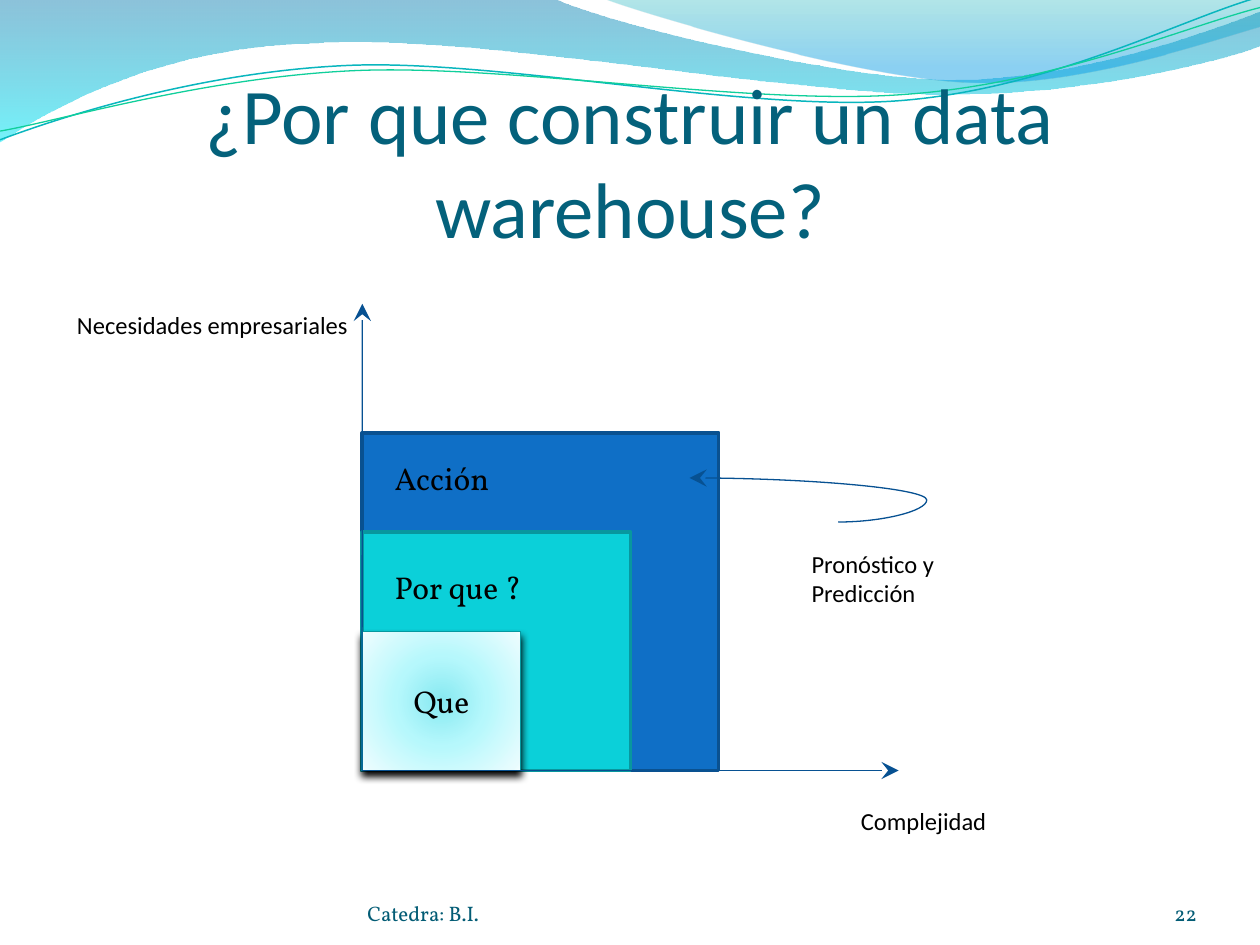
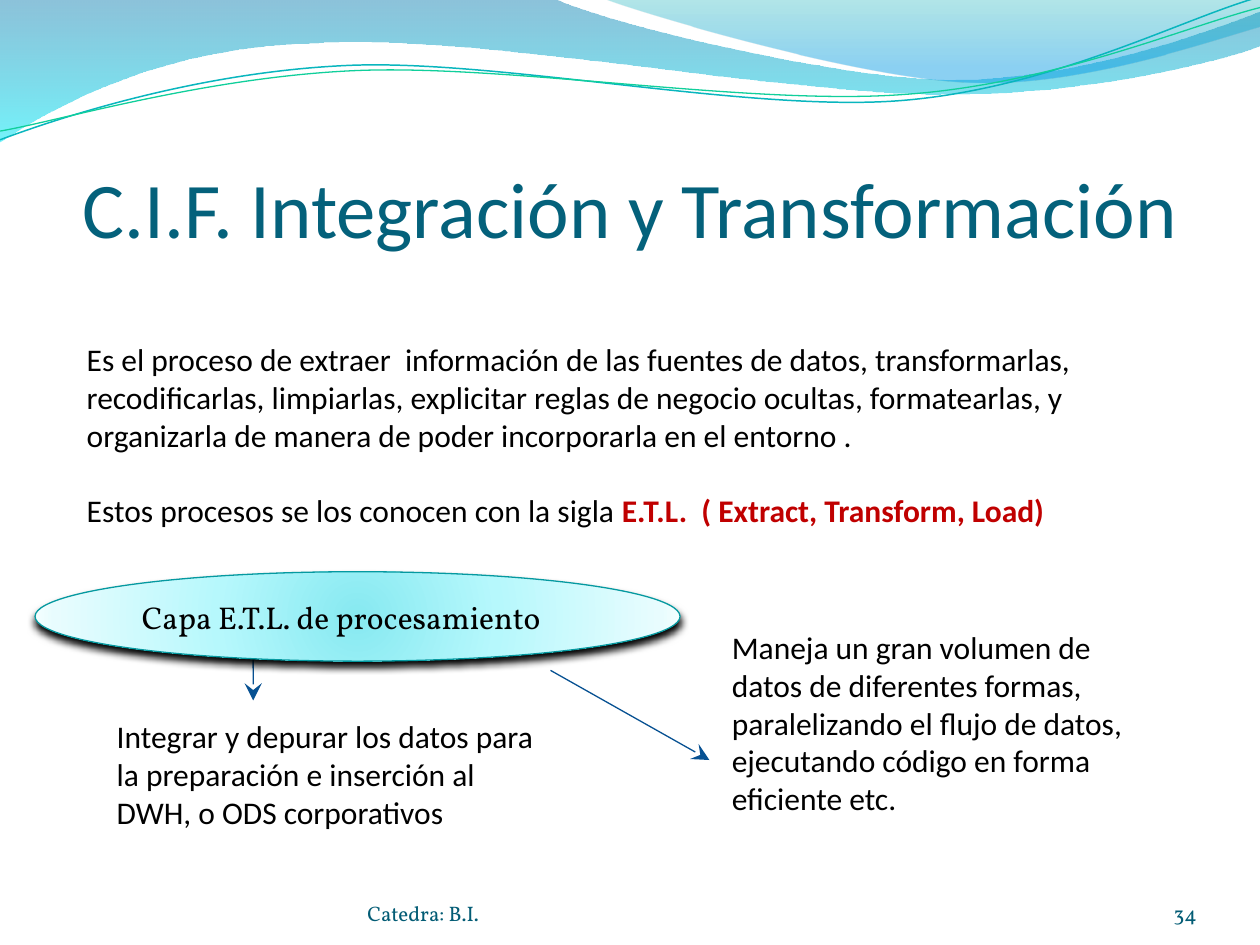
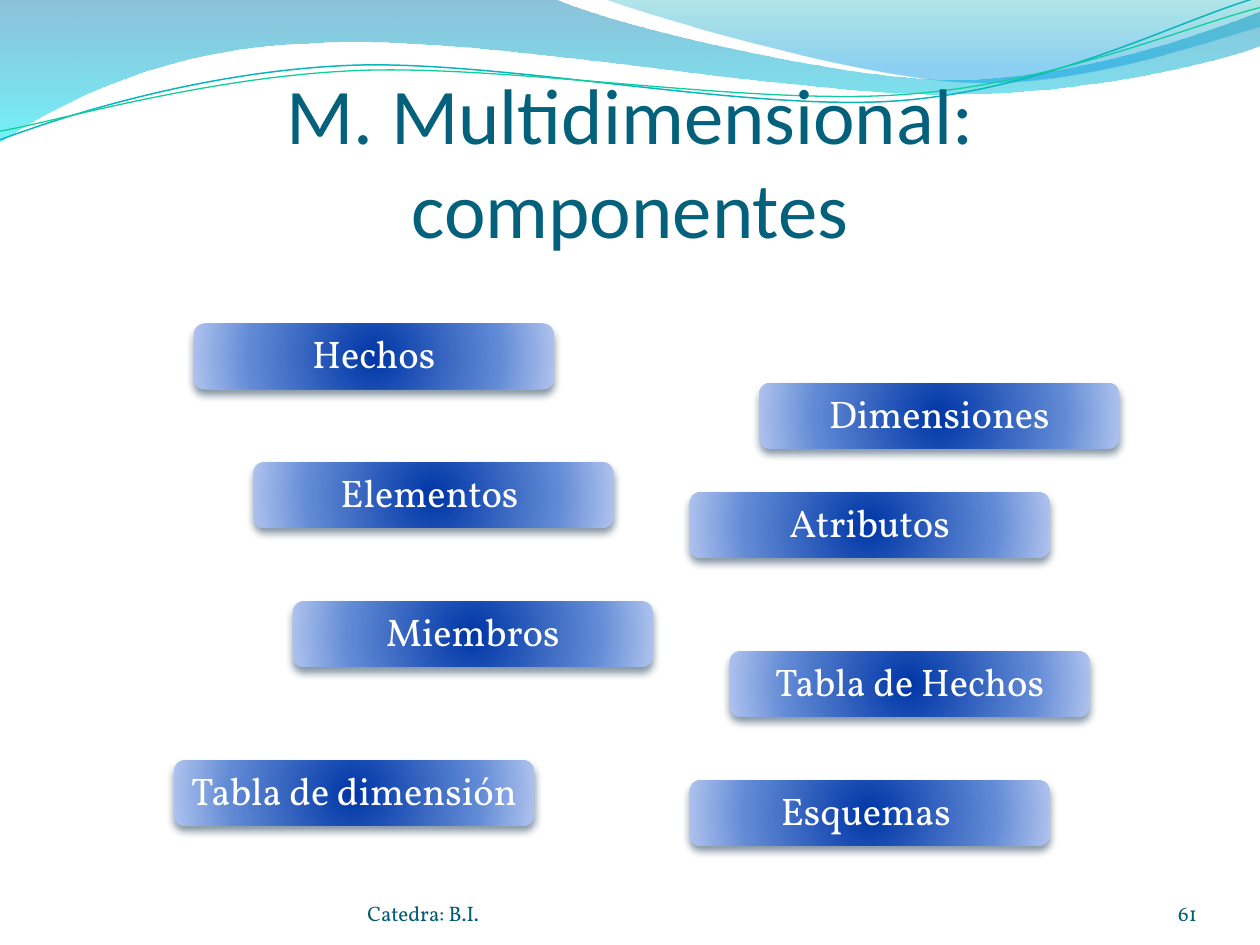
from collections import namedtuple
from dataclasses import dataclass

from lxml.etree import Element, SubElement
from pptx import Presentation
from pptx.dml.color import RGBColor as RGB
from pptx.enum.shapes import MSO_CONNECTOR as LINE, MSO_SHAPE as SHAPE
from pptx.enum.text import MSO_ANCHOR as ANCHOR, MSO_AUTO_SIZE as AUTO, PP_ALIGN as ALIGN
from pptx.oxml.ns import qn
from pptx.util import Pt

Box = namedtuple("Box", "x y w h")
Gradient = namedtuple("Gradient", "stops angle")  # stops: (position, colour, opacity)


@dataclass(frozen=True)
class Theme:
    head: str = "Calibri"
    body: str = "Vollkorn"
    title_size: float = 45
    button_size: float = 22
    text_size: float = 18
    label_size: float = 14
    footer_size: float = 12
    title: str = "04617B"
    footer: str = "035C75"
    text: str = "000000"
    white: str = "FFFFFF"
    accent: str = "C00000"
    arrow: str = "075192"
    pale_line: str = "0599A0"
    pale: Gradient = Gradient(
        [(0, "87E9F1", 100), (43, "B6F8FC", 100), (93, "E8FCFE", 100), (100, "F6FFFF", 100)], None)
    button: Gradient = Gradient(
        [(0, "0036A6", 100), (68, "618AD5", 100), (100, "AFC3EE", 100)], None)
    wave_left: Gradient = Gradient([(0, "0079AD", 45), (100, "00E9F7", 55)], 90)
    wave_right: Gradient = Gradient(
        [(0, "00ABB4", 30), (80, "0099E4", 45), (100, "0099E4", 45)], 90)
    pale_shadow: tuple = ("000000", 100)
    button_shadow: tuple = ("022442", 48)


T = Theme()

# Each outline is a start point, then lines (x, y) and curves (x1, y1, x2, y2, x, y).
WAVES = [
    ([(0, 0), (316.8, -0.7), (342.7, 12.2, 478.1, 45.4, 545.8, 45.4),
      (614.2, 45.4, 689.8, 18.7, 720, 6.5), (720.7, 25.9),
      (707.8, 31.7, 626.4, 54.7, 537.1, 54), (447.8, 54, 275, 20.2, 185, 24.5),
      (92.9, 25.9, 33.1, 59.8, -0.7, 81.4)], T.wave_left, None),
    ([(344.9, -0.7), (366.5, 7.9, 491, 44.6, 553.7, 46.8),
      (616.3, 49.7, 691.9, 23, 720, 15.1), (720, 0)], T.wave_right, None),
    ([(0, 79.9), (34.6, 67, 113.8, 41, 199.4, 37.4),
      (284.4, 33.8, 427, 64.1, 513.4, 57.6), (599.8, 51.1, 675.4, 10.8, 718.6, -1.4)],
     None, ("09B6BE", 0.85)),
    ([(0, 74.9), (33.8, 69.1, 118.1, 43.9, 203.8, 40.3),
      (290.2, 36.7, 429.8, 60.5, 516.2, 54), (601.9, 48.2, 677.5, 15.1, 720, 4.3)],
     None, ("10CF9B", 0.75)),
]


def add_color(parent, color, opacity):
    c = SubElement(parent, qn("a:srgbClr"), val=color)
    if opacity < 100:
        SubElement(c, qn("a:alpha"), val=str(opacity * 1000))


def fill_gradient(s, gradient):
    """Linear when the gradient has an angle, otherwise circular from the centre."""
    sp_pr = s.element.spPr
    fill = SubElement(sp_pr, qn("a:gradFill"), rotWithShape="1")
    stops = SubElement(fill, qn("a:gsLst"))
    for position, color, opacity in gradient.stops:
        add_color(SubElement(stops, qn("a:gs"), pos=str(position * 1000)), color, opacity)
    if gradient.angle is not None:
        SubElement(fill, qn("a:lin"), ang=str(gradient.angle * 60000), scaled="1")
    else:
        path = SubElement(fill, qn("a:path"), path="circle")
        SubElement(path, qn("a:fillToRect"), **dict.fromkeys("ltrb", "50000"))
    sp_pr.replace(sp_pr.find(qn("a:noFill")), fill)


def paint(s, fill=None, line=None, shadow=None):
    s.shadow.inherit = False
    s.fill.background()
    if isinstance(fill, Gradient):
        fill_gradient(s, fill)
    elif fill:
        s.fill.solid()
        s.fill.fore_color.rgb = RGB.from_string(fill)
    if line:
        s.line.color.rgb = RGB.from_string(line[0])
        s.line.width = Pt(line[1])
    else:
        s.line.fill.background()
    if shadow:
        effects = s.element.spPr.find(qn("a:effectLst"))
        outer = SubElement(effects, qn("a:outerShdw"), blurRad=str(Pt(4.5)), dist=str(Pt(3)),
                           dir="5400000", rotWithShape="0")
        add_color(outer, *shadow)


def write(tf, text, size, font=T.body, color=T.text, align=ALIGN.LEFT,
          anchor=ANCHOR.TOP, insets=(7.2, 3.6, 7.2, 3.6), gap=0, spacing=None):
    """Text is a string, or a list of paragraphs that are lists of (words, run format)."""
    left, top, right, bottom = map(Pt, insets)
    frame = {"word_wrap": True, "auto_size": AUTO.NONE, "vertical_anchor": anchor,
             "margin_left": left, "margin_top": top, "margin_right": right,
             "margin_bottom": bottom}
    for name, value in frame.items():
        setattr(tf, name, value)
    paragraphs = [[(text, {})]] if isinstance(text, str) else text
    for i, runs in enumerate(paragraphs):
        p = tf.add_paragraph() if i else tf.paragraphs[0]
        p.alignment = align
        p.line_spacing = spacing
        p.space_before = Pt(gap if i else 0)
        for words, extra in runs:
            r = p.add_run()
            r.text = words
            look = {"name": font, "size": Pt(size), "bold": False, "color": color, **extra}
            r.font.color.rgb = RGB.from_string(look.pop("color"))
            for name, value in look.items():
                setattr(r.font, name, value)


def add_text(slide, box, text, size, **fmt):
    write(slide.shapes.add_textbox(*map(Pt, box)).text_frame, text, size, **fmt)


def add_shape(slide, kind, box, **look):
    s = slide.shapes.add_shape(kind, *map(Pt, box))
    paint(s, **look)
    return s


def add_arrow(slide, start, end, kind=LINE.STRAIGHT):
    s = slide.shapes.add_connector(kind, *map(Pt, (*start, *end)))
    s.line.color.rgb = RGB.from_string(T.arrow)
    s.line.width = Pt(0.75)
    ln = s.element.spPr.find(qn("a:ln"))
    SubElement(ln, qn("a:tailEnd"), type="stealth", w="lg", len="lg")
    SubElement(s.element.spPr, qn("a:effectLst"))
    return s


def add_outline(slide, outline, closed):
    """A freeform through the segment ends, whose curved segments become cubic curves."""
    ends = [tuple(map(Pt, segment[-2:])) for segment in outline]
    builder = slide.shapes.build_freeform(*ends[0])
    builder.add_line_segments(ends[1:], close=closed)
    s = builder.convert_to_shape()
    for segment, line in zip(outline[1:], list(s.element.iter(qn("a:lnTo")))):
        if len(segment) == 6:
            curve = Element(qn("a:cubicBezTo"))
            for x, y in zip(segment[::2], segment[1::2]):
                SubElement(curve, qn("a:pt"), x=str(Pt(x) - s.left), y=str(Pt(y) - s.top))
            line.getparent().replace(line, curve)
    return s


def add_waves(layout, slide):
    """Draw the waves on a slide and move them behind the layout's placeholders."""
    for i, (outline, fill, line) in enumerate(WAVES):
        s = add_outline(slide, outline, closed=fill is not None)
        paint(s, fill, line)
        layout.shapes.element.insert(2 + i, s.element)


def add_frame(slide, title, number):
    """Title, footer and slide number."""
    s = slide.shapes.title
    s.left, s.top, s.width, s.height = map(Pt, (36, 55.4, 648, 90))
    write(s.text_frame, title, T.title_size, font=T.head, color=T.title,
          align=ALIGN.CENTER, anchor=ANCHOR.BOTTOM, insets=(0, 3.6, 0, 0))
    for x, w, text, align in ((210, 264, "Catedra: B.I.", ALIGN.LEFT),
                              (624, 60, number, ALIGN.RIGHT)):
        add_text(slide, (x, 500.4, w, 28.8), text, T.footer_size, color=T.footer,
                 align=align, anchor=ANCHOR.BOTTOM, insets=(0, 0, 0, 0))


def add_nested_chart(slide, box):
    """Boxes that share the origin of two axes, with the axis labels."""
    x0, y0 = box.x + 170, box.y + 266.7
    levels = [
        (203.8, 193, {"fill": "0F6FC6", "line": ("0A5190", 2)}),
        (153.4, 136.3, {"fill": "0BD0D9", "line": ("08979E", 2)}),
        (90.7, 79.3, {"fill": T.pale, "line": (T.pale_line, 0.75), "shadow": T.pale_shadow}),
    ]
    for w, h, look in levels:
        s = add_shape(slide, SHAPE.RECTANGLE, (x0, y0 - h, w, h), **look)
    write(s.text_frame, "Que", T.text_size, align=ALIGN.CENTER, anchor=ANCHOR.MIDDLE)
    for text, dy, w in (("Acción", 85, 175.7), ("Por que ?", 147.6, 118.8)):
        add_text(slide, (x0 + 11.5, box.y + dy, w, 28.8), text, T.text_size)

    add_arrow(slide, (x0, y0), (x0 + 0.12, box.y))
    add_arrow(slide, (x0, y0), (x0 + 306.6, y0))
    s = add_arrow(slide, (box.x + 357.1, box.y + 99.5), (box.x + 442.1, box.y + 124.7),
                  LINE.CURVE)
    s.element.spPr.find(qn("a:xfrm")).set("rot", "10800000")
    guides = s.element.spPr.find(qn("a:prstGeom")).find(qn("a:avLst"))
    SubElement(guides, qn("a:gd"), name="adj1", fmla="val -59500")

    for text, dx, dy, w, h in (("Necesidades empresariales", 0, 0, 181.4, 24.5),
                               ("Complejidad", 447.9, 283.7, 118.8, 24.5),
                               ("Pronóstico y Predicción", 419.8, 136.3, 113, 41)):
        add_text(slide, (box.x + dx, box.y + dy, w, h), text, T.label_size, font=T.head)


def add_etl_layer(slide, box):
    x, y = box.x, box.y
    notes = [
        ((22.5, 0, 629.3, 116.6), [
            [("Es el proceso de extraer  información de las fuentes de datos, "
              "transformarlas, recodificarlas, limpiarlas, explicitar reglas de negocio "
              "ocultas, formatearlas, y organizarla de manera de poder incorporarla en el "
              "entorno .", {})],
            [("Estos procesos se los conocen con la sigla ", {}),
             ("E.T.L.  ( Extract, Transform, Load)", {"color": T.accent, "bold": True})]]),
        ((39.6, 215.6, 254.9, 72.7),
         "Integrar y depurar los datos para la preparación e inserción al DWH, o ODS "
         "corporativos"),
        ((391.1, 164.6, 238.3, 116.6),
         "Maneja un gran volumen de datos de diferentes formas, paralelizando el flujo de "
         "datos, ejecutando código en forma eficiente etc."),
    ]
    for (dx, dy, w, h), text in notes:
        add_text(slide, (x + dx, y + dy, w, h), text, T.text_size, font=T.head, gap=21.6)
    add_arrow(slide, (x + 124.6, y + 170), (x + 124.72, y + 209.6))
    add_arrow(slide, (x + 294.6, y + 192.4), (x + 385.4, y + 243.6))
    s = add_shape(slide, SHAPE.OVAL, (x, y + 136, 368.6, 51.1), fill=T.pale,
                  line=(T.pale_line, 0.75), shadow=T.pale_shadow)
    write(s.text_frame, "Capa E.T.L. de procesamiento", T.text_size, anchor=ANCHOR.MIDDLE)


def add_components(slide, box):
    components = [
        ("Hechos", 11.3, 0), ("Dimensiones", 334.4, 33.9),
        ("Elementos ", 45.3, 79.2), ("Atributos", 294.6, 96.3),
        ("Miembros", 67.9, 158.7), ("Tabla de Hechos", 317.5, 187.2),
        ("Tabla de dimensión", 0, 249.5), ("Esquemas ", 294.6, 260.9),
    ]
    for text, dx, dy in components:
        s = add_shape(slide, SHAPE.ROUNDED_RECTANGLE, (box.x + dx, box.y + dy, 205.9, 37.4),
                      fill=T.button, shadow=T.button_shadow)
        write(s.text_frame, text, T.button_size, color=T.white, align=ALIGN.CENTER,
              anchor=ANCHOR.MIDDLE, spacing=0.9)


def main():
    prs = Presentation()
    prs.slide_width, prs.slide_height = Pt(720), Pt(540)
    layout = prs.slide_layouts[5]
    pages = [
        ("¿Por que construir un data warehouse?", "22",
         add_nested_chart, Box(36.9, 173.6, 567, 308)),
        ("C.I.F. Integración y Transformación", "34",
         add_etl_layer, Box(20, 190.7, 652, 288)),
        ("M. Multidimensional: componentes", "61",
         add_components, Box(99.4, 185, 540, 298)),
    ]
    for i, (title, number, add_content, box) in enumerate(pages):
        slide = prs.slides.add_slide(layout)
        if i == 0:
            add_waves(layout, slide)
        add_frame(slide, title, number)
        add_content(slide, box)
    prs.save("out.pptx")


if __name__ == "__main__":
    main()
